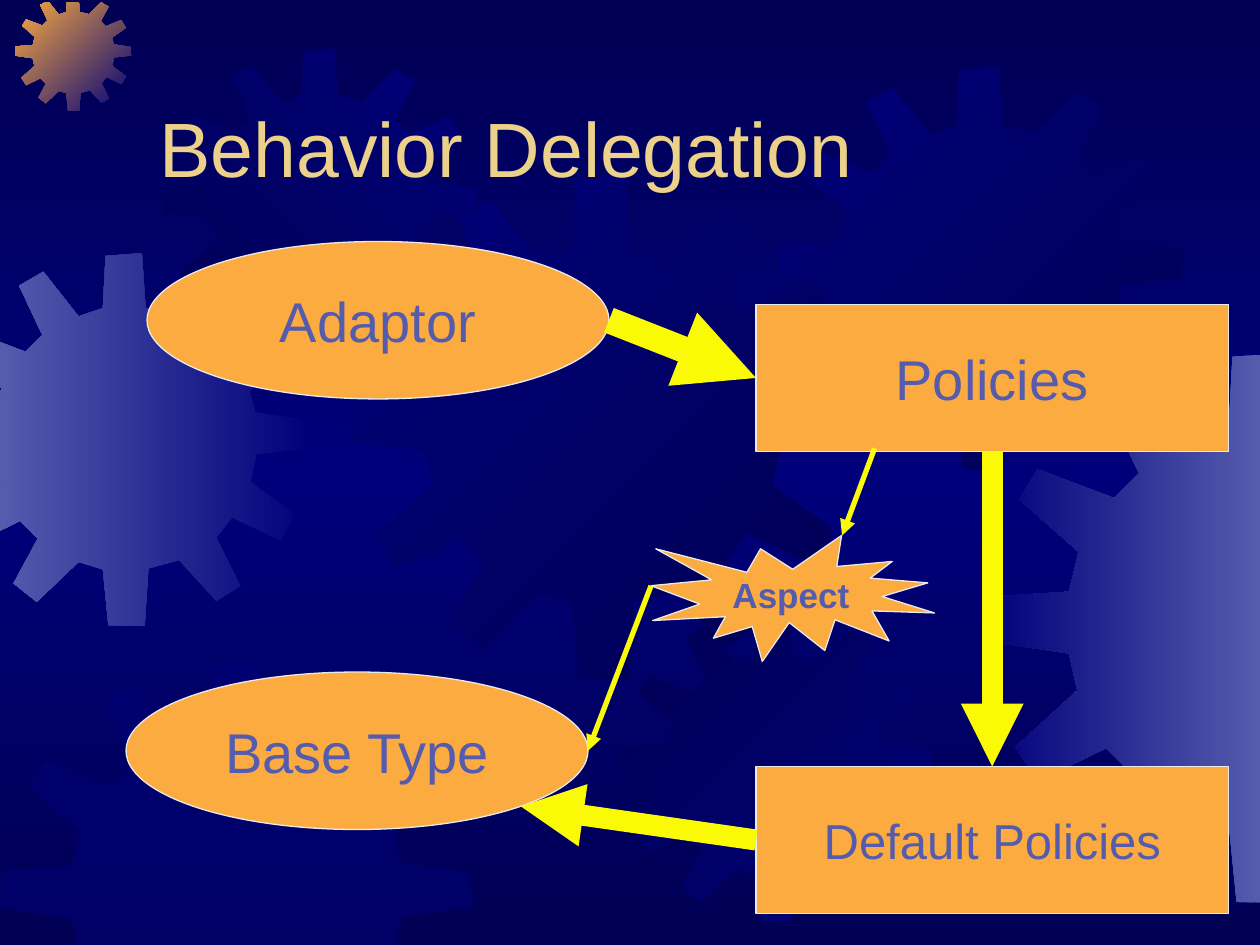
import pptx
import pptx.util
import pptx.dml.color
import pptx.enum.shapes
import pptx.enum.text
import pptx.oxml
import pptx.oxml.ns

WIDTH, HEIGHT = 10, 7.5
CELL = 1 / 12
FRAME = ((0, 0, 1), (0, WIDTH, -1), (1, 0.02, 1), (1, HEIGHT, -1))
NAVY, MIDNIGHT, VIOLET, ORANGE = "00007A", "000054", "555BAD", "FCAB40"
PALE, YELLOW, GOLD = "EAEAEA", "FAFA05", "EBD189"

GEAR_SIZE = 401
GEAR_OUTLINE = (
    (255, 67), (223, 59), (219, 0), (180, 3), (177, 59), (151, 68),
    (113, 20), (87, 35), (112, 88), (94, 106), (38, 85), (25, 107),
    (68, 145), (61, 174), (1, 178), (0, 210), (61, 219), (67, 246),
    (22, 287), (38, 312), (88, 288), (107, 307), (81, 355), (106, 375),
    (151, 332), (177, 340), (183, 400), (222, 401), (226, 339), (259, 330),
    (299, 374), (325, 358), (299, 306), (316, 284), (368, 309), (384, 281),
    (336, 246), (342, 216), (401, 210), (400, 180), (341, 171), (335, 148),
    (383, 114), (367, 87), (313, 109), (296, 91), (323, 41), (297, 25),
)

GEARS = (
    (-0.49, 2.01, 2.96, (NAVY, VIOLET), 180),
    (0.12, -0.04, 0.92, (NAVY, ORANGE), 225),
    (1.3, 0.39, 2.48, (NAVY, MIDNIGHT), 135),
    (2.77, 1.39, 4.01, (MIDNIGHT, NAVY), 225),
    (0, 5.25, 3.74, (NAVY,), 0),
    (4.91, 4.84, 2.48, (NAVY, MIDNIGHT), 225),
    (6.18, 0.53, 3.2, (MIDNIGHT, NAVY), 225),
    (7.82, 2.8, 4.37, (VIOLET, NAVY), 180),
)


def color(value):
    return pptx.dml.color.RGBColor.from_string(value)


def grid(cells):
    return pptx.util.Inches(cells * CELL)


def apply(target, values):
    for name, value in values.items():
        setattr(target, name, value)


def paint_gradient(holder, colors, angle):
    last = len(colors) - 1
    stops = "".join(
        f'<a:gs pos="{100000 * index // last}"><a:srgbClr val="{value}"/></a:gs>'
        for index, value in enumerate(colors))
    gradient = pptx.oxml.parse_xml(
        f'<a:gradFill {pptx.oxml.ns.nsdecls("a")} rotWithShape="1"><a:gsLst>{stops}</a:gsLst>'
        f'<a:lin ang="{angle * 60000}" scaled="0"/></a:gradFill>')
    holder.replace(holder.find(pptx.oxml.ns.qn("a:solidFill")), gradient)


def paint_background(page):
    fill = page.background.fill
    fill.solid()
    fill.fore_color.rgb = color(NAVY)
    holder = page.element.find(".//" + pptx.oxml.ns.qn("p:bgPr"))
    paint_gradient(holder, (MIDNIGHT, NAVY, MIDNIGHT), 90)


def clip(points, axis, limit, sign):
    kept = []
    for start, end in zip(points, points[1:] + points[:1]):
        before, after = (sign * (point[axis] - limit) for point in (start, end))
        if before >= 0:
            kept.append(start)
        if before * after < 0:
            share = before / (before - after)
            kept.append(tuple(a + share * (b - a) for a, b in zip(start, end)))
    return kept


def add_gear(page, left, top, size, colors, angle):
    scale = size / GEAR_SIZE
    points = [(left + x * scale, top + y * scale) for x, y in GEAR_OUTLINE]
    for edge in FRAME:
        points = clip(points, *edge)
    points = [tuple(pptx.util.Inches(value) for value in point) for point in points]
    builder = page.shapes.build_freeform(*points[0])
    builder.add_line_segments(points[1:], close=True)
    gear = builder.convert_to_shape()
    gear.shadow.inherit = False
    gear.line.fill.background()
    gear.fill.solid()
    gear.fill.fore_color.rgb = color(colors[0])
    holder = gear.element.spPr
    if len(colors) > 1:
        paint_gradient(holder, colors, angle)
    else:
        tint = holder.find(".//" + pptx.oxml.ns.qn("a:srgbClr"))
        tint.append(pptx.oxml.parse_xml(
            f'<a:alpha {pptx.oxml.ns.nsdecls("a")} val="50000"/>'))


def write(box, text, size, ink, align, anchor, wrap=False, bold=False):
    frame = box.text_frame
    apply(frame, {"word_wrap": wrap, "vertical_anchor": anchor})
    para = frame.paragraphs[0]
    para.alignment = align
    span = para.add_run()
    span.text = text
    apply(span.font, {"name": "Arial", "size": pptx.util.Pt(size), "bold": bold})
    span.font.color.rgb = color(ink)


def add_title(page, text):
    title = page.shapes.title
    title.element.getparent().append(title.element)
    apply(title, {"left": grid(14), "top": grid(4), "width": grid(102), "height": grid(15)})
    write(title, text, 44, GOLD, pptx.enum.text.PP_ALIGN.LEFT,
          pptx.enum.text.MSO_ANCHOR.BOTTOM, wrap=True)


def add_node(page, kind, cells, text, size, bold=False):
    node = page.shapes.add_shape(kind, *map(grid, cells))
    node.shadow.inherit = False
    node.fill.solid()
    node.fill.fore_color.rgb = color(ORANGE)
    node.line.color.rgb = color(PALE)
    node.line.width = pptx.util.Pt(0.75)
    write(node, text, size, VIOLET, pptx.enum.text.PP_ALIGN.CENTER,
          pptx.enum.text.MSO_ANCHOR.MIDDLE, bold=bold)
    return node


def add_arrow(page, start, end, weight, source=None, target=None):
    arrow = page.shapes.add_connector(
        pptx.enum.shapes.MSO_CONNECTOR.STRAIGHT, *map(grid, start + end))
    if source:
        arrow.begin_connect(*source)
    if target:
        arrow.end_connect(*target)
    arrow.line.color.rgb = color(YELLOW)
    arrow.line.width = pptx.util.Pt(weight)
    names = pptx.oxml.ns.nsdecls("a")
    arrow.line._get_or_add_ln().append(
        pptx.oxml.parse_xml(f'<a:tailEnd {names} type="triangle"/>'))
    arrow.element.spPr.append(pptx.oxml.parse_xml(f"<a:effectLst {names}/>"))


def main():
    deck = pptx.Presentation()
    deck.slide_width = pptx.util.Inches(WIDTH)
    deck.slide_height = pptx.util.Inches(HEIGHT)
    page = deck.slides.add_slide(deck.slide_layouts[5])
    paint_background(page)
    for gear in GEARS:
        add_gear(page, *gear)
    add_title(page, "Behavior Delegation")

    kinds = pptx.enum.shapes.MSO_SHAPE
    add_node(page, kinds.OVAL, (14, 23, 44, 15), "Adaptor", 32)
    add_node(page, kinds.OVAL, (12, 64, 44, 15), "Base Type", 32)
    policies = add_node(page, kinds.RECTANGLE, (72, 29, 45, 14), "Policies", 32)
    defaults = add_node(page, kinds.RECTANGLE, (72, 73, 45, 14), "Default Policies", 28)
    add_node(page, kinds.EXPLOSION1, (62, 51, 27, 12), "Aspect", 20, bold=True)

    add_arrow(page, (58, 30.5), (72, 36), 15, target=(policies, 1))
    add_arrow(page, (94.5, 43), (94.5, 73), 12, (policies, 2), (defaults, 0))
    add_arrow(page, (83.3, 42.7), (80.2, 51), 3)
    add_arrow(page, (62, 55.8), (56, 71.5), 3)
    add_arrow(page, (72, 80), (49.6, 76.8), 12, source=(defaults, 1))
    deck.save("out.pptx")


if __name__ == "__main__":
    main()
